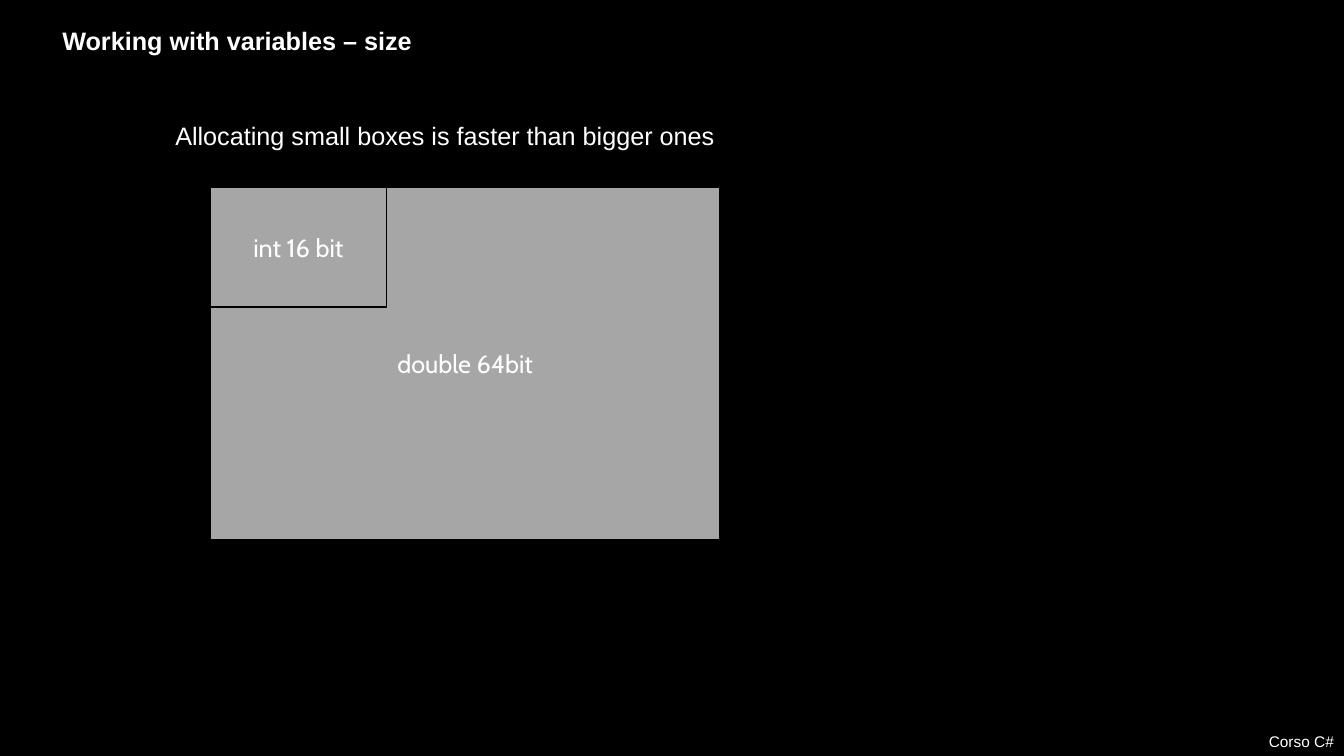
import pptx
import pptx.util
import pptx.dml.color
import pptx.enum.shapes
import pptx.enum.text
from collections import namedtuple
from dataclasses import dataclass

Box = namedtuple("Box", "left top width height")
Align = pptx.enum.text.PP_ALIGN
Anchor = pptx.enum.text.MSO_ANCHOR
COLUMNS, ROWS = 133.33, 75


@dataclass(frozen=True)
class Theme:
    """Hold the colours, fonts and type sizes."""
    background: str = "000000"
    ink: str = "FFFFFF"
    memory: str = "A6A6A6"
    outline: str = "000000"
    outline_width: float = 1
    text_font: str = "Arial"
    memory_font: str = "Cabin"
    body_size: int = 18
    footer_size: int = 11


THEME = Theme()


def colour(value):
    """Turn a hex value into a colour."""
    return pptx.dml.color.RGBColor.from_string(value)


def within(box, left, top, width, height):
    """Return the part of a box given in shares of its size."""
    return Box(box.left + left * box.width, box.top + top * box.height,
               width * box.width, height * box.height)


def on_grid(page, left, top, width, height):
    """Return the part of the page given in columns and rows."""
    return within(page, left / COLUMNS, top / ROWS, width / COLUMNS, height / ROWS)


def apply_format(target, values):
    """Set each attribute named in the format values."""
    for name, value in values.items():
        setattr(target, name, value)


def write(shape, text, frame_format, alignment, font_format):
    """Put one formatted paragraph into a shape."""
    apply_format(shape.text_frame, frame_format)
    paragraph = shape.text_frame.paragraphs[0]
    paragraph.alignment = alignment
    run = paragraph.add_run()
    run.text = text
    apply_format(run.font, font_format)
    run.font.color.rgb = colour(THEME.ink)


def add_label(slide, box, text, alignment=Align.LEFT, wrap=True, **font_changes):
    """Place a line of text in a box."""
    shape = slide.shapes.add_textbox(*map(int, box))
    frame_format = {"word_wrap": wrap, "vertical_anchor": Anchor.TOP,
                    "auto_size": pptx.enum.text.MSO_AUTO_SIZE.SHAPE_TO_FIT_TEXT}
    font_format = {"name": THEME.text_font,
                   "size": pptx.util.Pt(THEME.body_size)} | font_changes
    write(shape, text, frame_format, alignment, font_format)


def add_memory_box(slide, box, text):
    """Place an outlined memory box with a centred type name."""
    shape = slide.shapes.add_shape(
        pptx.enum.shapes.MSO_SHAPE.RECTANGLE, *map(int, box))
    shape.shadow.inherit = False
    shape.fill.solid()
    shape.fill.fore_color.rgb = colour(THEME.memory)
    shape.line.color.rgb = colour(THEME.outline)
    shape.line.width = pptx.util.Pt(THEME.outline_width)
    write(shape, text, {"word_wrap": True, "vertical_anchor": Anchor.MIDDLE},
          Align.CENTER,
          {"name": THEME.memory_font, "size": pptx.util.Pt(THEME.body_size)})


def add_size_comparison(slide, box):
    """Draw the small type in the corner of the large type."""
    add_memory_box(slide, box, "double 64bit")
    add_memory_box(slide, within(box, 0, 0, 0.345, 0.34), "int 16 bit")


def add_variable_size_slide(presentation, page):
    """Build the slide about variable sizes."""
    slide = presentation.slides.add_slide(presentation.slide_layouts[6])
    slide.background.fill.solid()
    slide.background.fill.fore_color.rgb = colour(THEME.background)
    add_size_comparison(slide, on_grid(page, 20.9, 18.6, 50.5, 34.9))
    add_label(slide, on_grid(page, 0, 72.1, COLUMNS, 2.9), "Corso C#",
              Align.RIGHT, size=pptx.util.Pt(THEME.footer_size))
    add_label(slide, on_grid(page, 5.2, 2, 37, 4),
              "Working with variables – size", wrap=False, bold=True)
    add_label(slide, on_grid(page, 16.4, 11.4, 57.3, 4),
              "Allocating small boxes is faster than bigger ones")


def main():
    """Create and save the presentation."""
    presentation = pptx.Presentation()
    apply_format(presentation, {"slide_width": pptx.util.Inches(13.33),
                                "slide_height": pptx.util.Inches(7.5)})
    page = Box(0, 0, presentation.slide_width, presentation.slide_height)
    add_variable_size_slide(presentation, page)
    presentation.save("out.pptx")


main()
